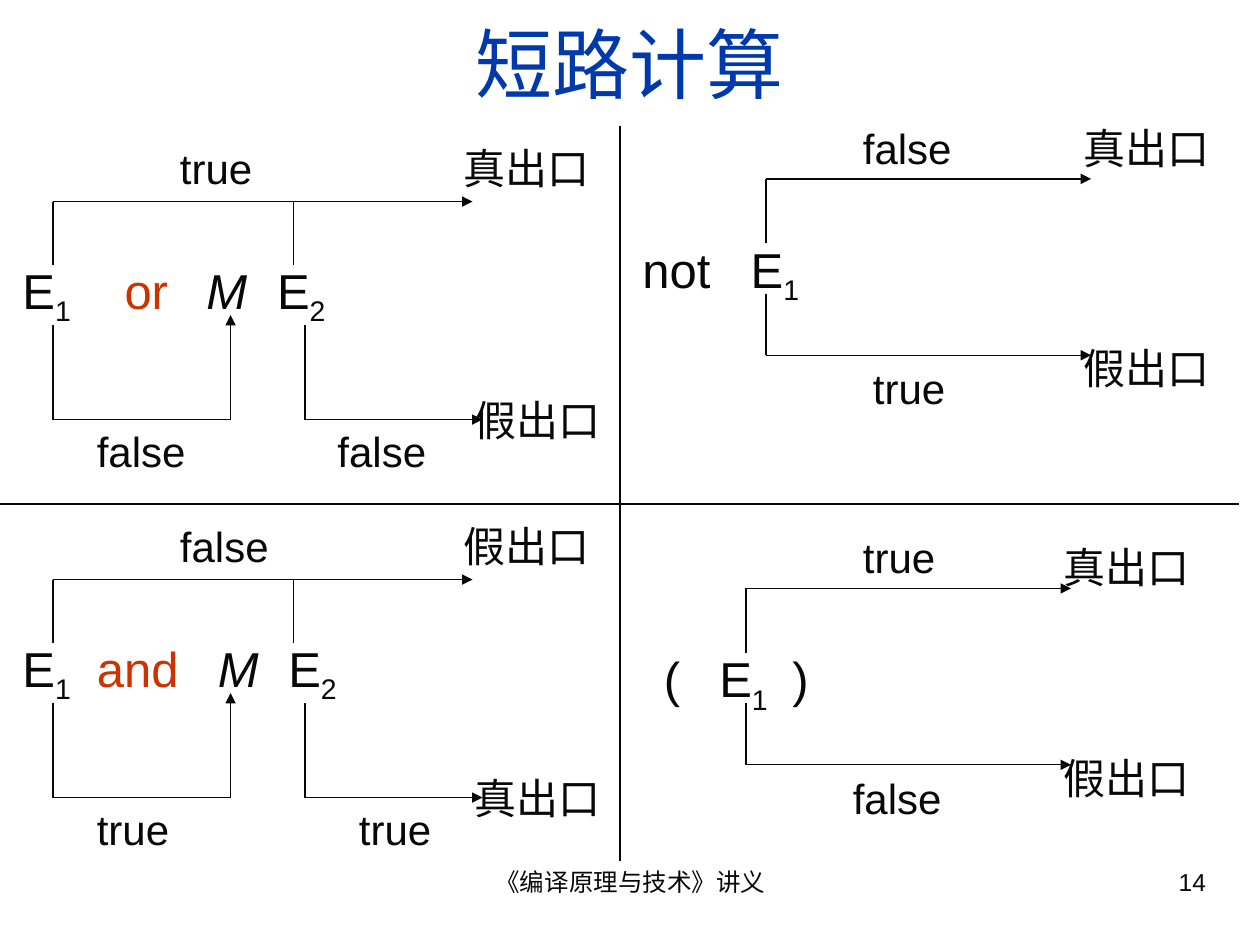
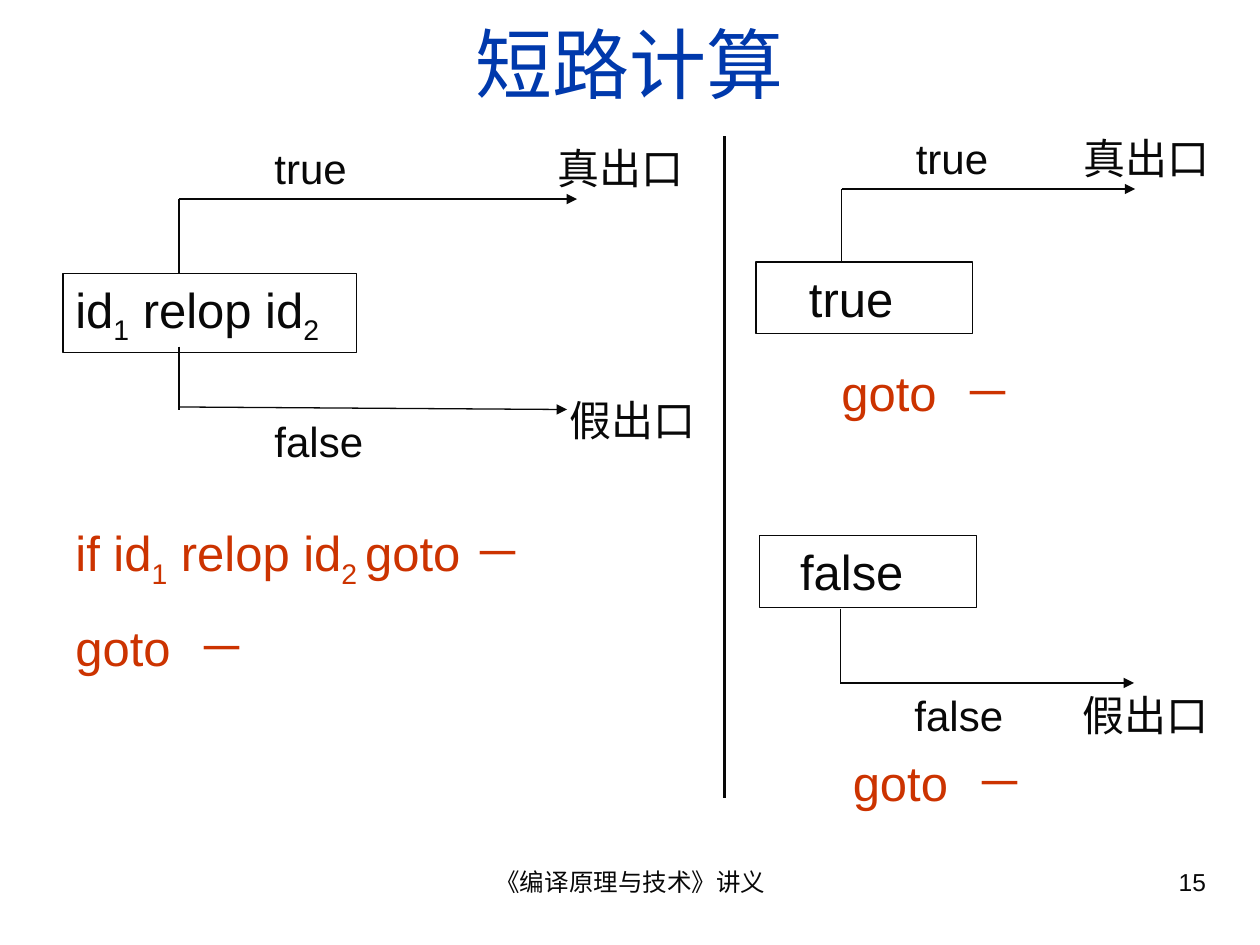
from itertools import pairwise

from lxml.etree import SubElement
from pptx import Presentation
from pptx.dml.color import RGBColor
from pptx.enum.shapes import MSO_CONNECTOR as Connector, MSO_SHAPE as Shape
from pptx.enum.text import MSO_ANCHOR as Anchor, PP_ALIGN as Align
from pptx.oxml.ns import qn
from pptx.util import Inches, Pt

INK = RGBColor(0x08, 0x08, 0x08)
BLUE = RGBColor(0x00, 0x39, 0xAC)
RED = RGBColor(0xCC, 0x33, 0x00)
FONT = "Arial"
TITLE = "短路计算"
FOOTER = "《编译原理与技术》讲义"
TRUE_EXIT, FALSE_EXIT = "真出口", "假出口"
SUBSCRIPT = {"subscript": True}


def add_run(paragraph, text, size=24, color=INK, italic=False, subscript=False):
    run = paragraph.add_run()
    run.text = text
    run.font.name = FONT
    run.font.size = Pt(size)
    run.font.color.rgb = color
    if italic:
        run.font.italic = True
    if subscript:
        run._r.get_or_add_rPr().set("baseline", "-25000")


class Deck:
    def __init__(self):
        self.presentation = Presentation()
        self.presentation.slide_width = Inches(10)
        self.presentation.slide_height = Inches(7.5)
        self.slide = None

    def new_slide(self, number):
        layout = self.presentation.slide_layouts[6]
        self.slide = self.presentation.slides.add_slide(layout)
        self.text(TITLE, 0.33, 0.08, 9.34, 0.83, align=Align.CENTER,
                  anchor=Anchor.MIDDLE, size=44, color=BLUE)
        self.text(FOOTER, 3.42, 6.83, 3.17, 0.52, align=Align.CENTER, size=14)
        self.text(str(number), 7.17, 6.83, 2.5, 0.52, align=Align.RIGHT, size=14)

    def fill_text(self, shape, content, align=Align.LEFT, anchor=Anchor.TOP,
                  tabs=(), indent=0, **style):
        frame = shape.text_frame
        frame.word_wrap = True
        frame.vertical_anchor = anchor
        frame.margin_left = Inches(0.1 + indent)
        paragraph = frame.paragraphs[0]
        paragraph.alignment = align
        if tabs:
            tab_list = SubElement(paragraph._p.get_or_add_pPr(), qn("a:tabLst"))
            for position in tabs:
                SubElement(tab_list, qn("a:tab"), pos=str(Inches(position)), algn="l")
        runs = [(content, {})] if isinstance(content, str) else content
        for text, extra in runs:
            add_run(paragraph, text, **{**style, **extra})

    def text(self, content, left, top, width, height, **style):
        box = self.slide.shapes.add_textbox(
            Inches(left), Inches(top), Inches(width), Inches(height))
        self.fill_text(box, content, **style)

    def box(self, content, left, top, width, height, **style):
        shape = self.slide.shapes.add_shape(
            Shape.RECTANGLE, Inches(left), Inches(top), Inches(width), Inches(height))
        shape.shadow.inherit = False
        shape.fill.background()
        shape.line.color.rgb = INK
        shape.line.width = Pt(0.75)
        self.fill_text(shape, content, size=28, **style)

    def label(self, content, left, top, width=0.92):
        self.text(content, left, top, width, 0.5)

    def exit(self, content, left, top, width=1.25):
        self.label(content, left, top, width)

    def code(self, content, left, top, width=3.42, color=INK, tabs=()):
        self.text(content, left, top, width, 0.63, size=28, color=color, tabs=tabs)

    def goto(self, left, top):
        self.code("goto\t－", left, top, 1.83, RED, tabs=[0.97])

    def line(self, start, end, weight=0.75, arrow=False):
        connector = self.slide.shapes.add_connector(
            Connector.STRAIGHT, *(Inches(value) for value in (*start, *end)))
        connector.line.color.rgb = INK
        connector.line.width = Pt(weight)
        properties = connector._element.spPr
        if arrow:
            SubElement(properties.find(qn("a:ln")), qn("a:tailEnd"), type="triangle")
        SubElement(properties, qn("a:effectLst"))

    def route(self, *points):
        segments = list(pairwise(points))
        for start, end in segments:
            self.line(start, end, arrow=end == points[-1])

    def binary(self, top, operator, tabs, jump, fall, jump_exit, fall_exit, fall_left):
        rail, floor = top + 0.52, top + 2.25
        self.code([("E", {}), ("1", SUBSCRIPT), (f"\t{operator}", {"color": RED}),
                   ("\tM", {"italic": True}), ("\tE", {}), ("2", SUBSCRIPT)],
                  0.08, top + 0.94, tabs=tabs)
        self.route((0.42, top + 1.02), (0.42, rail), (3.75, rail))
        self.line((2.33, top + 1.02), (2.33, rail))
        self.route((0.42, top + 1.5), (0.42, floor), (1.83, floor), (1.83, top + 1.42))
        self.route((2.42, top + 1.5), (2.42, floor), (3.83, floor))
        self.label(jump, 1.33, top)
        self.label(fall, 0.67, floor)
        self.label(fall, fall_left, floor)
        self.exit(jump_exit, 3.58, top)
        self.exit(fall_exit, 3.67, top + 2)

    def unary(self, stem, rail, expression, left, tabs, upper, upper_left, lower,
              exit_top):
        floor, arrow_end = rail + 1.4, stem + 2.58
        self.code(expression, left, rail + 0.43, tabs=tabs)
        self.route((stem, rail + 0.51), (stem, rail), (arrow_end, rail))
        self.route((stem, rail + 0.91), (stem, floor), (arrow_end, floor))
        self.label(upper, upper_left, rail - 0.5)
        self.label(lower, stem + 0.75, floor + 0.01)
        self.exit(TRUE_EXIT, stem + 2.42, exit_top)
        self.exit(FALSE_EXIT, stem + 2.42, rail + 1.25)

    def constant(self, value, left, top, indent, stem, stem_top, rail, label_top, target):
        self.box(value, left, top, 1.72, 0.57, indent=indent)
        self.route((stem, stem_top), (stem, rail), (stem + 2.33, rail))
        self.label(value, stem + 0.49, label_top, 1)
        self.exit(target, stem + 1.82, label_top, 1.42)


def build_operators(deck):
    deck.new_slide(14)
    deck.line((0, 4), (9.83, 4), weight=1.5)
    deck.line((4.92, 1), (4.92, 6.83), weight=1.5)
    deck.binary(1.08, "or", [0.81, 1.46, 2.02], "true", "false",
                TRUE_EXIT, FALSE_EXIT, 2.58)
    deck.binary(4.08, "and", [0.59, 1.55, 2.11], "false", "true",
                FALSE_EXIT, TRUE_EXIT, 2.75)
    deck.unary(6.08, 1.42, [("not\tE", {}), ("1", SUBSCRIPT)], 5, [0.86],
               "false", 6.75, "true", 0.92)
    deck.unary(5.92, 4.67, [("(\tE", {}), ("1", SUBSCRIPT), ("\t)", {})], 5.17,
               [0.44, 1.02], "true", 6.75, "false", 4.25)


def build_relations(deck):
    deck.new_slide(15)
    relation = [("id", {}), ("1", SUBSCRIPT), (" relop id", {})]
    deck.box(relation + [("2", SUBSCRIPT)], 0.5, 2.17, 2.33, 0.63)
    deck.route((1.42, 2.17), (1.42, 1.58), (4.58, 1.58))
    deck.line((1.42, 2.75), (1.42, 3.25))
    deck.line((1.42, 3.23), (4.5, 3.25), arrow=True)
    deck.label("true", 2.08, 1.08)
    deck.label("false", 2.08, 3.25)
    deck.exit(TRUE_EXIT, 4.33, 1.08)
    deck.exit(FALSE_EXIT, 4.42, 3.08)
    deck.code([("if ", {})] + relation + [("2 ", SUBSCRIPT), ("goto\t－", {})],
              0.5, 4.1, 4.08, RED, tabs=[3.16])
    deck.line((5.75, 1.08), (5.75, 6.33), weight=1.5)
    deck.constant("true", 6, 2.08, 0.32, 6.68, 2.08, 1.5, 1, TRUE_EXIT)
    deck.constant("false", 6.03, 4.25, 0.22, 6.67, 4.83, 5.42, 5.42, FALSE_EXIT)
    for left, top in ((0.5, 4.85), (6.58, 2.83), (6.67, 5.92)):
        deck.goto(left, top)


def main():
    deck = Deck()
    build_operators(deck)
    build_relations(deck)
    deck.presentation.save("out.pptx")


if __name__ == "__main__":
    main()
